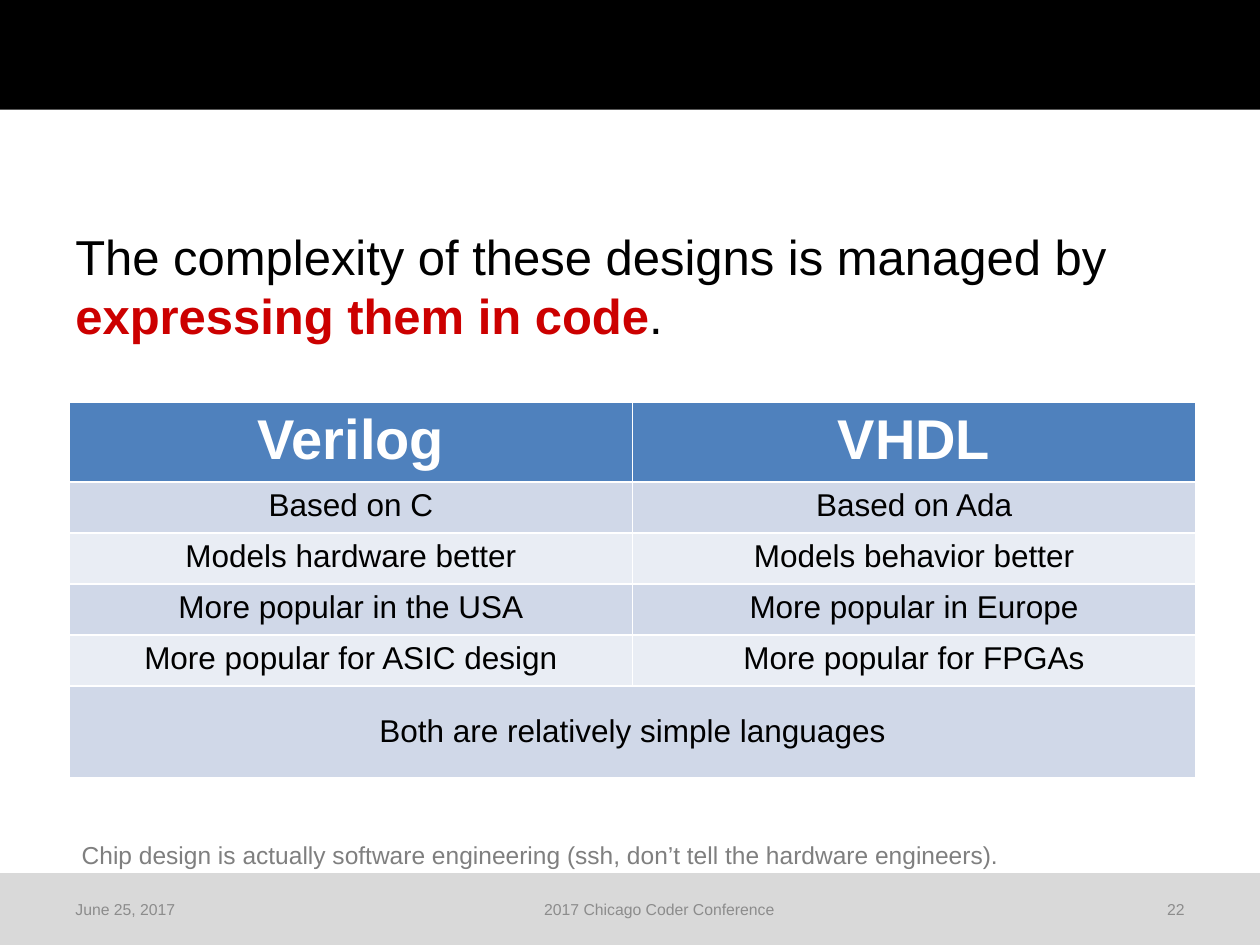
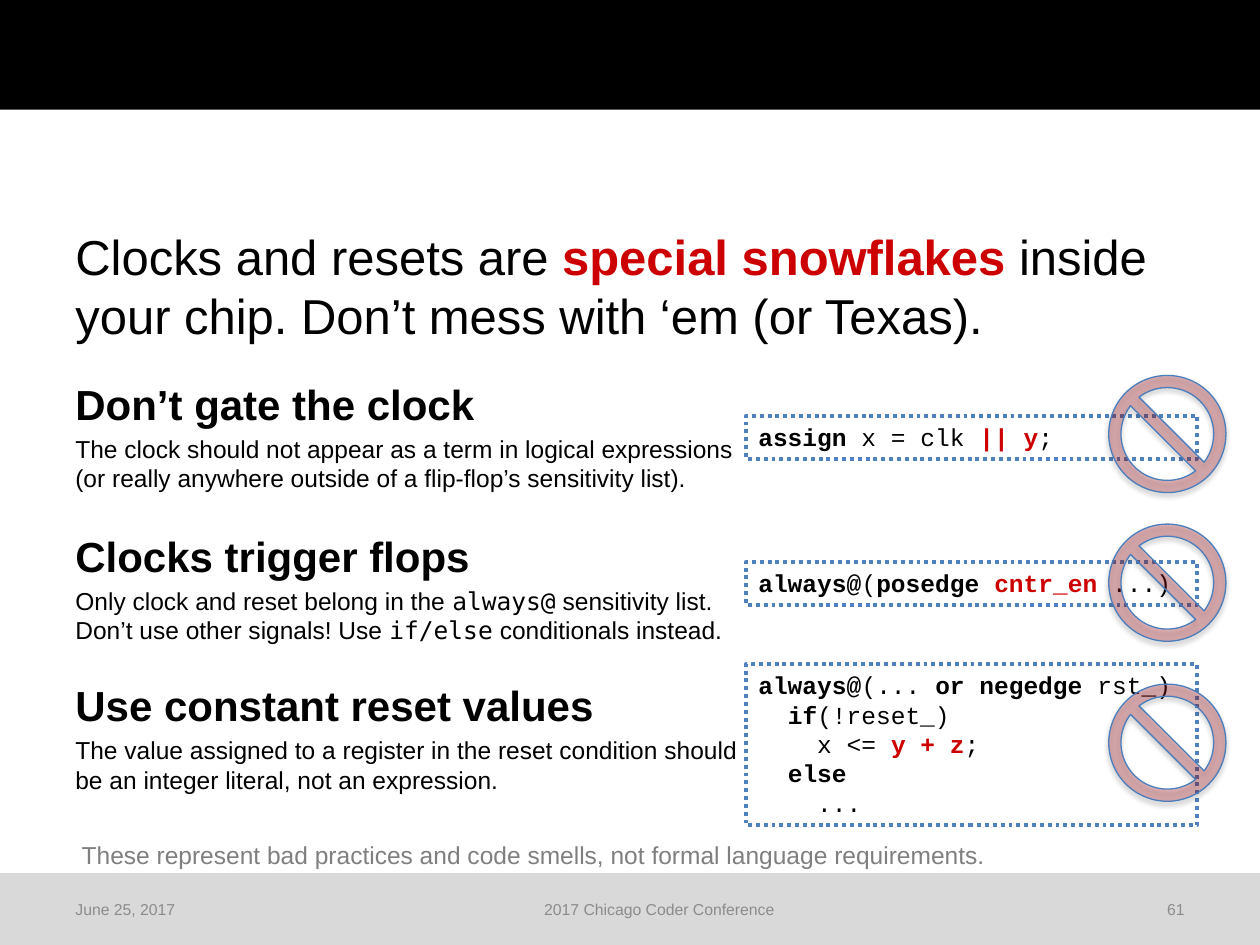
from lxml import etree
from pptx import Presentation
from pptx.dml.color import RGBColor
from pptx.enum.dml import MSO_LINE
from pptx.enum.shapes import MSO_SHAPE as SHAPE
from pptx.enum.text import MSO_ANCHOR as ANCHOR, PP_ALIGN as ALIGN
from pptx.oxml import parse_xml
from pptx.oxml.ns import nsdecls, qn
from pptx.util import Inches, Pt

BLACK = RGBColor(0x00, 0x00, 0x00)
WHITE = RGBColor(0xFF, 0xFF, 0xFF)
RED = RGBColor(0xCC, 0x00, 0x00)
BLUE = RGBColor(0x4F, 0x81, 0xBD)
BAND_DARK = RGBColor(0xD0, 0xD8, 0xE8)
BAND_LIGHT = RGBColor(0xE9, 0xED, 0xF4)
FOOTER_BAND = RGBColor(0xD9, 0xD9, 0xD9)
FOOTER_TEXT = RGBColor(0x8C, 0x8C, 0x8C)
NOTE_TEXT = RGBColor(0x7F, 0x7F, 0x7F)
SIGN_FILL = RGBColor(0xA7, 0x15, 0x20)
SIGN_LINE = RGBColor(0x4B, 0x7E, 0xBC)

SANS, CODE, MONO = "Arial", "Courier New", "DejaVu Sans Mono"

prs = Presentation()
prs.slide_width, prs.slide_height = Inches(10), Inches(7.5)


def add_runs(p, runs, size, color=BLACK, font=SANS):
    """Add (text, style) runs: b is bold, r is red, m is monospaced."""
    for text, style in runs:
        if text == "\n":
            p.add_line_break()
            br = p._p.findall(qn("a:br"))[-1]
            etree.SubElement(br, qn("a:rPr"), sz=str(size * 100))
            continue
        r = p.add_run()
        r.text = text
        r.font.size = Pt(size)
        r.font.name = MONO if "m" in style else font
        r.font.bold = "b" in style
        r.font.color.rgb = RED if "r" in style else color


def start_slide(number, headline, note):
    """Add a slide with bands, footer and note; return it and its body text."""
    s = prs.slides.add_slide(prs.slide_layouts[6])
    for top, height, color in [(6.93, 0.57, FOOTER_BAND), (0, 0.87, BLACK)]:
        band = s.shapes.add_shape(SHAPE.RECTANGLE, 0, Inches(top),
                                  prs.slide_width, Inches(height))
        band.shadow.inherit = False
        band.fill.solid()
        band.fill.fore_color.rgb = color
        band.line.fill.background()

    footers = [(0.5, 1.22, "June 25, 2017", ALIGN.LEFT),
               (1.72, 7.06, "2017 Chicago Coder Conference ", ALIGN.CENTER),
               (8.78, 0.72, number, ALIGN.RIGHT)]
    for left, width, text, align in footers:
        tf = s.shapes.add_textbox(Inches(left), Inches(7.02),
                                  Inches(width), Inches(0.4)).text_frame
        tf.word_wrap = True
        tf.vertical_anchor = ANCHOR.MIDDLE
        tf.paragraphs[0].alignment = align
        add_runs(tf.paragraphs[0], [(text, "")], 9, FOOTER_TEXT)

    tf = s.shapes.add_textbox(Inches(0.55), Inches(6.62),
                              Inches(7.63), Inches(0.34)).text_frame
    tf.word_wrap = False
    add_runs(tf.paragraphs[0], [(note, "")], 14, NOTE_TEXT)

    body = s.shapes.add_textbox(Inches(0.5), Inches(1.75),
                                Inches(9), Inches(4.95)).text_frame
    body.word_wrap = True
    add_runs(body.paragraphs[0], headline, 28)
    return s, body


# Slide 22: the two languages compared
s, body = start_slide(
    "22",
    [("The complexity of these designs is managed by ", ""),
     ("expressing them in code", "br"), (".", "")],
    "Chip design is actually software engineering "
    "(ssh, don’t tell the hardware engineers).")

rows = [("Verilog", "VHDL"),
        ("Based on C", "Based on Ada"),
        ("Models hardware better", "Models behavior better"),
        ("More popular in the USA", "More popular in Europe"),
        ("More popular for ASIC design", "More popular for FPGAs"),
        ("Both are relatively simple languages",)]
heights = [0.62] + [0.405] * 4 + [0.73]
table = s.shapes.add_table(len(rows), 2, Inches(0.55), Inches(3.19),
                           Inches(8.94), Inches(sum(heights))).table
table.cell(5, 0).merge(table.cell(5, 1))
table.cell(5, 0).vertical_anchor = ANCHOR.MIDDLE
for i, (row, height) in enumerate(zip(rows, heights)):
    table.rows[i].height = Inches(height)
    for j, text in enumerate(row):
        cell = table.cell(i, j)
        cell.fill.solid()
        p = cell.text_frame.paragraphs[0]
        p.alignment = ALIGN.CENTER
        if i == 0:
            cell.fill.fore_color.rgb = BLUE
            add_runs(p, [(text, "b")], 32, WHITE)
        else:
            cell.fill.fore_color.rgb = BAND_DARK if i % 2 else BAND_LIGHT
            add_runs(p, [(text, "")], 18)

# Slide 61: clock and reset rules
s, body = start_slide(
    "61",
    [("Clocks and resets are ", ""), ("special snowflakes ", "br"),
     ("inside your chip. Don’t mess with ‘em (or Texas).", "")],
    "These represent bad practices and code smells, "
    "not formal language requirements.")

rules = [
    (19.5, "Don’t gate the clock",
     [("The clock should not appear as a term in logical expressions ", ""),
      ("\n", ""),
      ("(or really anywhere outside of a flip-flop’s sensitivity list).", "")]),
    (21.6, "Clocks trigger flops",
     [("Only clock and reset belong in the ", ""), ("always@", "m"),
      (" sensitivity list. ", ""), ("\n", ""),
      ("Don’t use other signals! Use ", ""), ("if/else", "m"),
      (" conditionals instead.", "")]),
    (20.2, "Use constant reset values",
     [("The value assigned to a register in the reset condition should ", ""),
      ("\n", ""),
      ("be an integer literal, not an expression.", "")]),
]
for gap, heading, advice in rules:
    for space, runs, size in [(gap, [(heading, "b")], 24), (2.8, advice, 14)]:
        p = body.add_paragraph()
        p.space_before = Pt(space)
        add_runs(p, runs, size)

# Each bad example: box top, box height, sign top, code lines
examples = [
    (3.3, 0.34, 2.98,
     [[("assign", "b"), (" x = clk ", ""), ("|| y", "br"), (";", "")]]),
    (4.46, 0.34, 4.16,
     [[("always@", "b"), ("(", ""), ("posedge ", "b"), ("cntr_en", "br"),
       (" ...)", "")]]),
    (5.27, 1.28, 5.43,
     [[("always@", "b"), ("(... ", ""), ("or negedge ", "b"), ("rst_)", "")],
      [("  ", ""), ("if", "b"), ("(!reset_)", "")],
      [("    x <= ", ""), ("y + z", "br"), (";", "")],
      [("  ", ""), ("else", "b")],
      [("    ...", "")]]),
]
for top, height, sign_top, code in examples:
    box = s.shapes.add_shape(SHAPE.RECTANGLE, Inches(5.92), Inches(top),
                             Inches(3.58), Inches(height))
    box.shadow.inherit = False
    box.fill.background()
    box.line.color.rgb = BLUE
    box.line.width = Pt(2.25)
    box.line.dash_style = MSO_LINE.ROUND_DOT
    tf = box.text_frame
    tf.word_wrap = True
    tf.vertical_anchor = ANCHOR.TOP
    for i, runs in enumerate(code):
        p = tf.add_paragraph() if i else tf.paragraphs[0]
        p.alignment = ALIGN.LEFT
        add_runs(p, runs, 14, font=CODE)

    sign = s.shapes.add_shape(SHAPE.NO_SYMBOL, Inches(8.8), Inches(sign_top),
                              Inches(0.93), Inches(0.93))
    sign.adjustments[0] = 0.104
    sign.fill.solid()
    sign.fill.fore_color.rgb = SIGN_FILL
    fill_color = sign._element.spPr.find(qn("a:solidFill"))[0]
    etree.SubElement(fill_color, qn("a:alpha"), val="31000")
    sign.line.color.rgb = SIGN_LINE
    sign.line.width = Pt(0.75)
    sign._element.spPr.append(parse_xml(
        f'<a:effectLst {nsdecls("a")}>'
        '<a:outerShdw blurRad="39400" dist="22900" dir="5400000" rotWithShape="0">'
        '<a:srgbClr val="000000"><a:alpha val="35000"/></a:srgbClr>'
        '</a:outerShdw></a:effectLst>'))

prs.save("out.pptx")
